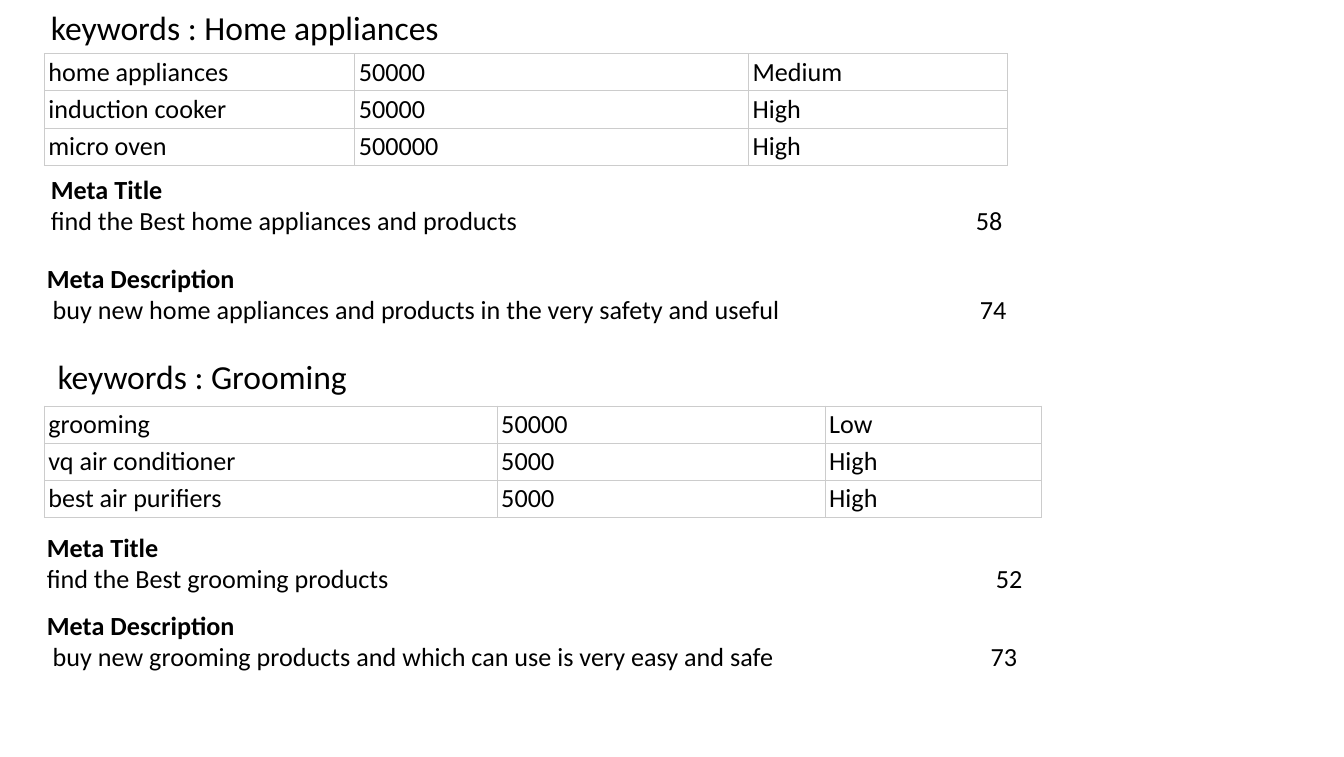
from dataclasses import dataclass

from lxml import etree
from pptx import Presentation
from pptx.dml.color import RGBColor
from pptx.enum.text import MSO_ANCHOR
from pptx.oxml.ns import qn
from pptx.util import Emu, Inches, Pt

BLACK = RGBColor(0x00, 0x00, 0x00)
BORDER_GREY = RGBColor(0xCC, 0xCC, 0xCC)
ANCHOR_BOTTOM = MSO_ANCHOR.BOTTOM

FONT = "Calibri"
HEADING_SIZE, BODY_SIZE = 18, 14
BORDER_WIDTH = Pt(0.6)

# The slide is 100 columns wide and 56.3 rows high
GRID = Inches(0.1)
SLIDE_COLUMNS, SLIDE_ROWS = 100, 56.3
TABLE_LEFT, TABLE_ROW = 3.3, 2.7
HEADING_HEIGHT, META_HEIGHT = 4, 5.7


@dataclass(frozen=True)
class Heading:
    text: str
    left: float
    top: float
    width: float


@dataclass(frozen=True)
class KeywordTable:
    top: float
    column_widths: tuple[float, ...]
    rows: tuple[tuple[str, ...], ...]


@dataclass(frozen=True)
class MetaBlock:
    label: str
    text: str
    character_count: int
    left: float
    top: float
    width: float
    count_column: float  # right edge of the count, from the text's left


HEADINGS = (
    Heading("keywords : Home appliances", 2.8, 0, 72.5),
    Heading("keywords : Grooming", 3.3, 26, 71.7),
)

TABLES = (
    KeywordTable(4, (23.1, 29.3, 19.3), (
        ("home appliances", "50000", "Medium"),
        ("induction cooker", "50000", "High"),
        ("micro oven", "500000", "High"),
    )),
    KeywordTable(30.2, (33.7, 24.4, 16.1), (
        ("grooming", "50000", "Low"),
        ("vq air conditioner", "5000", "High"),
        ("best air purifiers", "5000", "High"),
    )),
)

META_BLOCKS = (
    MetaBlock("Meta Title", "find the Best home appliances and products",
              58, 2.8, 12.4, 73.3, 70.8),
    MetaBlock("Meta Description",
              " buy new home appliances and products in the very safety and useful",
              74, 2.5, 19, 77.5, 71.4),
    MetaBlock("Meta Title", "find the Best grooming products",
              52, 2.5, 39, 75, 72.6),
    MetaBlock("Meta Description",
              " buy new grooming products and which can use is very easy and safe",
              73, 2.5, 44.8, 77.5, 72.2),
)


def grid(units: float) -> Emu:
    return Emu(round(units * GRID))


def write(paragraph, text: str, *, size: float = BODY_SIZE,
          bold: bool = False, right_tab: float | None = None) -> None:
    """Fill a paragraph, with an optional right-aligned tab stop."""
    if right_tab is not None:
        properties = paragraph._p.get_or_add_pPr()
        tabs = etree.SubElement(properties, qn("a:tabLst"))
        etree.SubElement(tabs, qn("a:tab"), pos=str(grid(right_tab)), algn="r")
    run = paragraph.add_run()
    run.text = text
    run.font.name = FONT
    run.font.size = Pt(size)
    run.font.bold = bold
    run.font.color.rgb = BLACK


def add_text_frame(slide, left: float, top: float, width: float, height: float):
    box = slide.shapes.add_textbox(grid(left), grid(top), grid(width), grid(height))
    box.text_frame.word_wrap = True
    return box.text_frame


def add_heading(slide, heading: Heading) -> None:
    frame = add_text_frame(slide, heading.left, heading.top,
                           heading.width, HEADING_HEIGHT)
    write(frame.paragraphs[0], heading.text, size=HEADING_SIZE)


def add_meta_block(slide, block: MetaBlock) -> None:
    frame = add_text_frame(slide, block.left, block.top, block.width, META_HEIGHT)
    write(frame.paragraphs[0], block.label, bold=True)
    write(frame.add_paragraph(), f"{block.text}\t{block.character_count}",
          right_tab=block.count_column)


def add_borders(cell) -> None:
    properties = cell._tc.get_or_add_tcPr()
    for side in ("a:lnL", "a:lnR", "a:lnT", "a:lnB"):
        line = etree.SubElement(properties, qn(side), w=str(BORDER_WIDTH))
        fill = etree.SubElement(line, qn("a:solidFill"))
        etree.SubElement(fill, qn("a:srgbClr"), val=str(BORDER_GREY))


def add_keyword_table(slide, spec: KeywordTable) -> None:
    table = slide.shapes.add_table(
        len(spec.rows), len(spec.column_widths), grid(TABLE_LEFT), grid(spec.top),
        grid(sum(spec.column_widths)), grid(TABLE_ROW * len(spec.rows))).table
    table.first_row = table.horz_banding = False
    for column, width in zip(table.columns, spec.column_widths):
        column.width = grid(width)
    for row, texts in zip(table.rows, spec.rows):
        row.height = grid(TABLE_ROW)
        for cell, text in zip(row.cells, texts):
            cell.margin_left = cell.margin_right = Inches(0.03)
            cell.margin_top = cell.margin_bottom = Inches(0.02)
            cell.vertical_anchor = ANCHOR_BOTTOM
            add_borders(cell)
            cell.fill.background()
            write(cell.text_frame.paragraphs[0], text)


def main() -> None:
    presentation = Presentation()
    presentation.slide_width = grid(SLIDE_COLUMNS)
    presentation.slide_height = grid(SLIDE_ROWS)
    slide = presentation.slides.add_slide(presentation.slide_layouts[6])

    # Keyword tables
    for table in TABLES:
        add_keyword_table(slide, table)
    # Section headings
    for heading in HEADINGS:
        add_heading(slide, heading)
    # Meta titles and descriptions with their character counts
    for block in META_BLOCKS:
        add_meta_block(slide, block)

    presentation.save("out.pptx")


if __name__ == "__main__":
    main()
